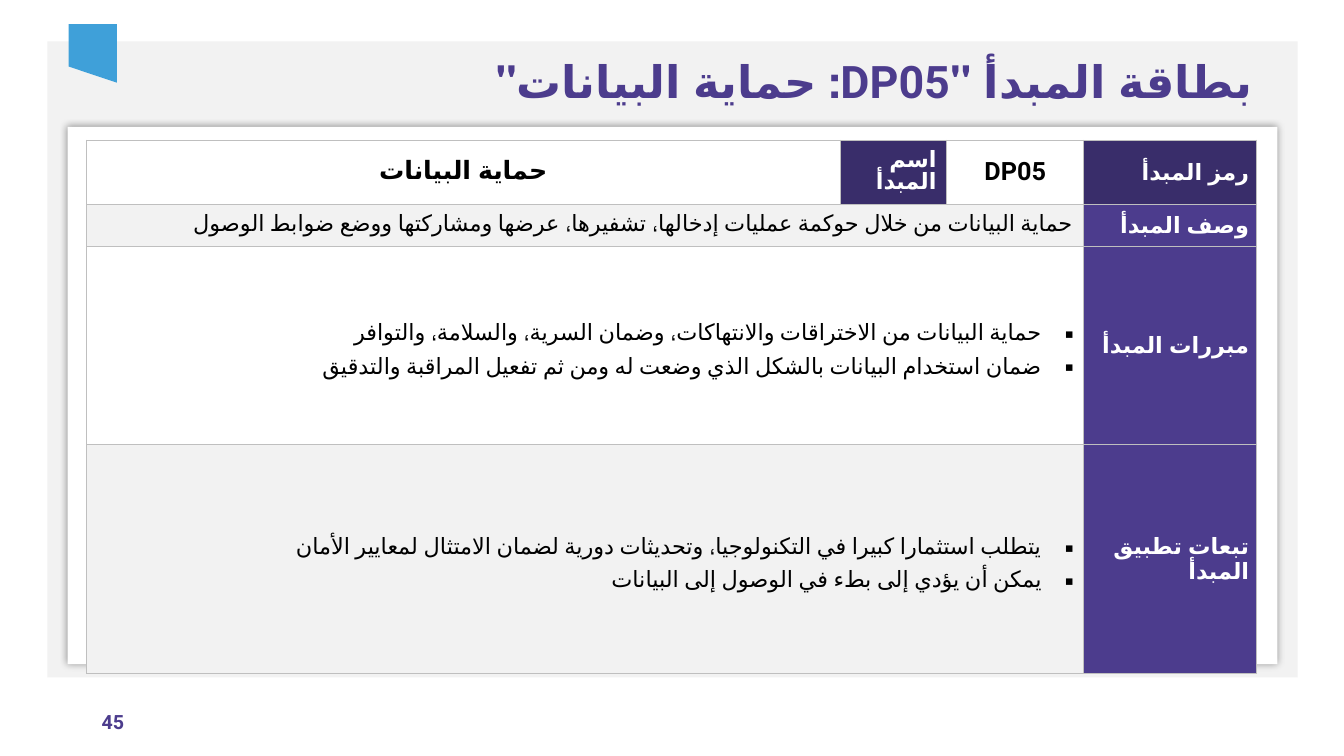
"""Build the principle card slide for data protection."""
from dataclasses import dataclass
from typing import Any

from lxml.etree import SubElement
from pptx import Presentation
from pptx.dml.color import RGBColor
from pptx.enum.lang import MSO_LANGUAGE_ID
from pptx.enum.shapes import MSO_SHAPE
from pptx.enum.text import MSO_ANCHOR, PP_ALIGN
from pptx.oxml.ns import qn
from pptx.util import Pt

PX = 9144


@dataclass(frozen=True)
class Theme:
    font: str = "Roboto"
    white: str = "FFFFFF"
    black: str = "000000"
    pale: str = "F2F2F2"
    rule: str = "BFBFBF"
    blue: str = "3FA0D9"
    violet: str = "4C3C8D"
    dark: str = "392D6A"
    title: int = 32
    name: int = 18
    body: int = 16
    page: int = 14


T = Theme()


@dataclass(frozen=True)
class Style:
    size: int
    color: str
    bold: bool = True
    align: PP_ALIGN = PP_ALIGN.RIGHT
    lead: float | None = None
    rtl: bool = True
    mark: str = ""


@dataclass(frozen=True)
class Box:
    text: str
    place: tuple[int, int, int, int]
    style: Style
    frame: dict[str, Any]


@dataclass(frozen=True)
class Cell:
    row: int
    col: int
    lines: tuple[str, ...]
    style: Style
    fill: str
    span: int = 1
    pad: tuple[int, int] = (10, 5)


NAME = Style(T.name, T.black, align=PP_ALIGN.CENTER)
HEAD = Style(T.body, T.white)
LABEL = Style(T.body, T.white, lead=1.15)
BODY = Style(T.body, T.black, bold=False)
LIST = Style(T.body, T.black, bold=False, lead=1.5, mark="▪")

COLS = (747, 106, 136, 171)
ROWS = (46, 42, 196, 228)
LABELS = ("رمز المبدأ", "وصف المبدأ", "مبررات المبدأ", "تبعات تطبيق المبدأ")
CELLS = [
    Cell(0, 0, ("حماية البيانات",), NAME, T.white),
    Cell(0, 1, ("اسم المبدأ",), HEAD, T.dark),
    Cell(0, 2, ("DP05",), NAME, T.white),
    Cell(1, 0, ("حماية البيانات من خلال حوكمة عمليات إدخالها، تشفيرها، عرضها ومشاركتها ووضع ضوابط الوصول",),
         BODY, T.pale, 3),
    Cell(2, 0, ("حماية البيانات من الاختراقات والانتهاكات، وضمان السرية، والسلامة، والتوافر",
                "ضمان استخدام البيانات بالشكل الذي وضعت له ومن ثم تفعيل المراقبة والتدقيق"),
         LIST, T.white, 3),
    Cell(3, 0, ("يتطلب استثمارا كبيرا في التكنولوجيا، وتحديثات دورية لضمان الامتثال لمعايير الأمان",
                "يمكن أن يؤدي إلى بطء في الوصول إلى البيانات"),
         LIST, T.pale, 3),
] + [
    Cell(row, 3, (text,), LABEL, T.violet if row else T.dark, pad=(7, 0))
    for row, text in enumerate(LABELS)
]
BOXES = [
    Box("45", (91, 699, 667, 34),
        Style(T.page, T.violet, align=PP_ALIGN.LEFT, rtl=False), {"word_wrap": True}),
    Box('بطاقة المبدأ "DP05: حماية البيانات"', (292, 45, 950, 70),
        Style(T.title, T.violet),
        {"word_wrap": True, "vertical_anchor": MSO_ANCHOR.MIDDLE, "margin_right": 0}),
]


def apply(item: Any, values: dict[str, Any]) -> None:
    """Set each named value on the item."""
    for key, value in values.items():
        setattr(item, key, value)


def paint(item: Any, color: str) -> None:
    """Give the item a solid fill."""
    item.fill.solid()
    item.fill.fore_color.rgb = RGBColor.from_string(color)


def write(frame: Any, lines: tuple[str, ...], style: Style) -> None:
    """Write one styled paragraph for each line."""
    for i, line in enumerate(lines):
        para = frame.add_paragraph() if i else frame.paragraphs[0]
        props = para._p.get_or_add_pPr()
        if style.rtl:
            props.set("rtl", "1")
        if style.mark:
            props.set("marL", str(31 * PX))
            props.set("indent", str(-31 * PX))
            SubElement(props, qn("a:buFont"), typeface=T.font)
            SubElement(props, qn("a:buChar"), char=style.mark)
        apply(para, {"alignment": style.align, "line_spacing": style.lead})
        run = para.add_run()
        run.text = line
        apply(run.font, {"name": T.font, "size": Pt(style.size), "bold": style.bold})
        if style.rtl:
            run.font.language_id = MSO_LANGUAGE_ID.ARABIC
        run.font.color.rgb = RGBColor.from_string(style.color)


def plain(shape: Any, color: str) -> Any:
    """Fill a shape and drop its line and shadow."""
    paint(shape, color)
    shape.line.fill.background()
    shape.shadow.inherit = False
    return shape


def panel(slide: Any, place: tuple[int, ...], color: str) -> Any:
    """Add a plain rectangle."""
    return plain(slide.shapes.add_shape(MSO_SHAPE.RECTANGLE, *(n * PX for n in place)), color)


def glow(shape: Any) -> None:
    """Add a soft shadow around a shape."""
    root = shape._element.spPr.find(qn("a:effectLst"))
    shade = SubElement(root, qn("a:outerShdw"), blurRad=str(Pt(5)), algn="ctr", rotWithShape="0")
    tint = SubElement(shade, qn("a:srgbClr"), val=T.black)
    SubElement(tint, qn("a:alpha"), val="40000")


def edge(cell: Any) -> None:
    """Draw thin rules on all four sides of a cell."""
    props = cell._tc.get_or_add_tcPr()
    for i, side in enumerate(("lnL", "lnR", "lnT", "lnB")):
        line = SubElement(props, qn(f"a:{side}"), w=str(Pt(0.5)))
        props.insert(i, line)
        SubElement(SubElement(line, qn("a:solidFill")), qn("a:srgbClr"), val=T.rule)


def card(slide: Any) -> None:
    """Add the table of the principle."""
    place = (86, 139, sum(COLS), sum(ROWS))
    table = slide.shapes.add_table(len(ROWS), len(COLS), *(n * PX for n in place)).table
    apply(table, {"first_row": False, "horz_banding": False})
    for col, width in zip(table.columns, COLS):
        col.width = width * PX
    for row, height in zip(table.rows, ROWS):
        row.height = height * PX
    for item in CELLS:
        cell = table.cell(item.row, item.col)
        if item.span > 1:
            cell.merge(table.cell(item.row, item.col + item.span - 1))
        side, top = (n * PX for n in item.pad)
        apply(cell, {"vertical_anchor": MSO_ANCHOR.MIDDLE, "margin_left": side,
                     "margin_right": side, "margin_top": top, "margin_bottom": top})
        write(cell.text_frame, item.lines, item.style)
        for i in range(item.span):
            part = table.cell(item.row, item.col + i)
            paint(part, item.fill)
            edge(part)


def main() -> None:
    """Build and save the slide."""
    deck = Presentation()
    apply(deck, {"slide_width": 1333 * PX, "slide_height": 750 * PX})
    slide = deck.slides.add_slide(deck.slide_layouts[6])
    panel(slide, (47, 41, 1240, 631), T.pale)
    flag = slide.shapes.build_freeform(116, 82, scale=PX)
    flag.add_line_segments([(68, 66), (68, 24), (116, 24)], close=True)
    plain(flag.convert_to_shape(), T.blue)
    for box in BOXES:
        frame = slide.shapes.add_textbox(*(n * PX for n in box.place)).text_frame
        apply(frame, box.frame)
        write(frame, (box.text,), box.style)
    glow(panel(slide, (67, 126, 1200, 533), T.white))
    card(slide)
    deck.save("out.pptx")


if __name__ == "__main__":
    main()
